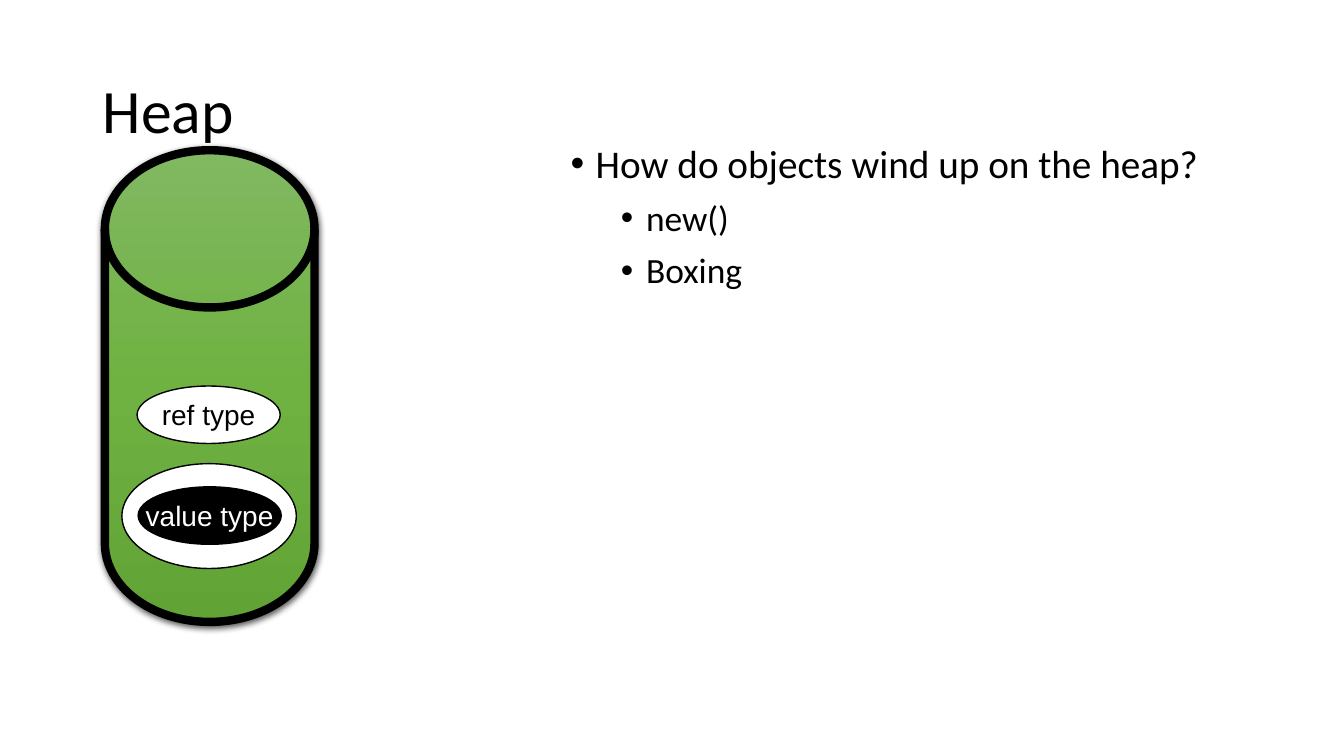
"""Build the heap slide: a cylinder holding objects beside a bullet list."""
from lxml import etree
from pptx import Presentation
from pptx.dml.color import RGBColor
from pptx.enum.shapes import MSO_SHAPE
from pptx.enum.text import MSO_ANCHOR, MSO_AUTO_SIZE, PP_ALIGN
from pptx.oxml.ns import qn
from pptx.util import Pt

DISK, OVAL = MSO_SHAPE.FLOWCHART_MAGNETIC_DISK, MSO_SHAPE.OVAL
MIDDLE, TOP = MSO_ANCHOR.MIDDLE, MSO_ANCHOR.TOP
LEFT, CENTER = PP_ALIGN.LEFT, PP_ALIGN.CENTER
NO_FIT = MSO_AUTO_SIZE.NONE

BLACK, WHITE = "000000", "FFFFFF"
TITLE = "Heap"
TITLE_BOX = (66.24, 28.8, 828, 104.4)
BULLETS = [(0, "How do objects wind up on the heap?"), (1, "new()"), (1, "Boxing")]
BULLETS_BOX = (400.32, 99.36, 493.2, 342.72)
LEVELS = [(28, 18), (25.3, 54)]
HANGING = 18
HEAP_BOX = (74.88, 107.28, 149.76, 336.96)
HEAP_GREENS = [(0, "81B861"), (50, "6FB242"), (100, "62A336")]
BOXED_OBJECT = (87.12, 331.2, 124.56, 74.88)
OBJECTS = [
    ("ref type", (97.92, 275.76, 102.24, 41.04), WHITE, BLACK),
    ("value type", (98.64, 347.76, 102.24, 41.04), BLACK, WHITE),
]


def rgb(value):
    return RGBColor.from_string(value)


def add_run(p, text, size, font, color):
    r = p.add_run()
    r.text = text
    r.font.size, r.font.name = Pt(size), font
    r.font.color.rgb = rgb(color)


def add_outlined(slide, kind, box, width):
    sp = slide.shapes.add_shape(kind, *map(Pt, box))
    sp.line.color.rgb = rgb(BLACK)
    sp.line.width = Pt(width)
    sp.shadow.inherit = False
    return sp


def add_oval(slide, box, color):
    sp = add_outlined(slide, OVAL, box, 1)
    sp.fill.solid()
    sp.fill.fore_color.rgb = rgb(color)
    return sp


def add_color(parent, value):
    return etree.SubElement(parent, qn("a:srgbClr"), val=value)


def add_heap(slide):
    sp = add_outlined(slide, DISK, HEAP_BOX, 6)
    sp.fill.gradient()
    sp.fill.gradient_angle = 270
    props = sp.element.spPr
    stops = props.find(".//" + qn("a:gsLst"))
    stops.clear()
    for percent, color in HEAP_GREENS:
        add_color(etree.SubElement(stops, qn("a:gs"), pos=str(percent * 1000)), color)
    shadow = etree.SubElement(
        props.find(qn("a:effectLst")), qn("a:outerShdw"), blurRad=str(Pt(4.5)),
        dist=str(Pt(1.5)), dir="5400000", algn="ctr", rotWithShape="0")
    etree.SubElement(add_color(shadow, BLACK), qn("a:alpha"), val="63000")
    return sp


def place(sp, box, anchor):
    sp.left, sp.top, sp.width, sp.height = map(Pt, box)
    tf = sp.text_frame
    tf.auto_size, tf.vertical_anchor = NO_FIT, anchor
    return tf


def add_bullet(p, level, text):
    size, indent = LEVELS[level]
    p.level, p.alignment = level, LEFT
    p.line_spacing, p.space_before = 0.9, Pt(10)
    add_run(p, text, size, "Calibri", BLACK)
    props = p._p.get_or_add_pPr()
    props.set("marL", str(Pt(indent)))
    props.set("indent", str(Pt(-HANGING)))
    etree.SubElement(props, qn("a:buFont"), typeface="Arial")
    etree.SubElement(props, qn("a:buChar"), char="•")


def main():
    prs = Presentation()
    prs.slide_width, prs.slide_height = Pt(960), Pt(540)
    slide = prs.slides.add_slide(prs.slide_layouts[1])
    title, body = slide.placeholders

    behind = [add_heap(slide), add_oval(slide, BOXED_OBJECT, WHITE)]
    for sp in behind:
        title.element.addprevious(sp.element)

    p = place(title, TITLE_BOX, MIDDLE).paragraphs[0]
    p.alignment, p.line_spacing = LEFT, 0.9
    add_run(p, TITLE, 44, "Calibri", BLACK)

    tf = place(body, BULLETS_BOX, TOP)
    for i, (level, text) in enumerate(BULLETS):
        add_bullet(tf.add_paragraph() if i else tf.paragraphs[0], level, text)

    for text, box, fill, color in OBJECTS:
        tf = add_oval(slide, box, fill).text_frame
        tf.word_wrap, tf.vertical_anchor = False, MIDDLE
        p = tf.paragraphs[0]
        p.alignment = CENTER
        add_run(p, text, 20, "Arial", color)

    prs.save("out.pptx")


if __name__ == "__main__":
    main()
